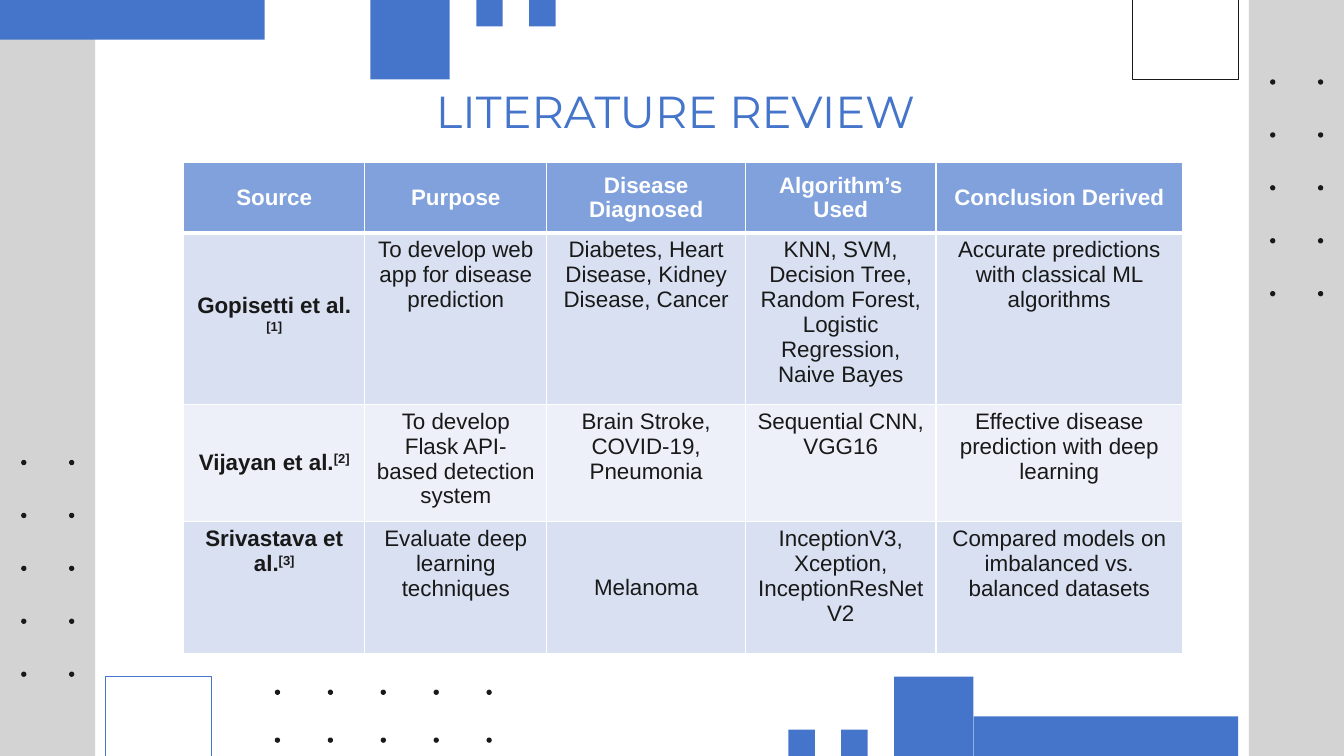
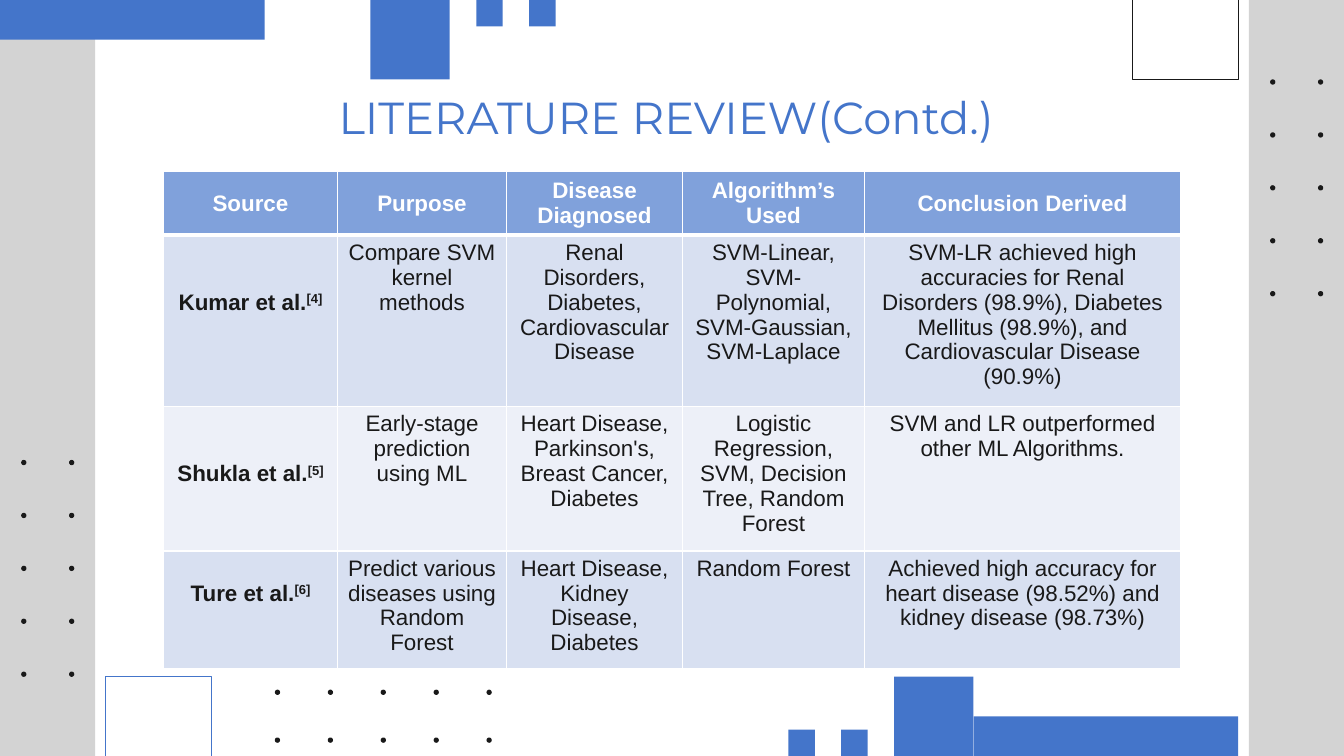
from itertools import product

from lxml.etree import SubElement
from pptx import Presentation
from pptx.dml.color import RGBColor
from pptx.enum.shapes import MSO_SHAPE
from pptx.enum.text import MSO_ANCHOR, PP_ALIGN
from pptx.oxml.ns import qn
from pptx.util import Pt

# Shared look
BLUE, GRAY, INK, WHITE = "4475CA", "D3D3D3", "191919", "FFFFFF"
HEADER_FILL, BAND_FILLS = "80A1DB", ("D8E0F1", "EDF0F8")
TITLE_FONT, TABLE_FONT = "Montserrat", "Arial"
TITLE_SIZE, TABLE_SIZE, LINE_HEIGHT = 32, 16, 17.9
WIDTH, HEIGHT = 960, 540
UNIT = 18.9  # module of the decoration grid
SIDE_BAND = 68
DOT, DOT_GAP, DOT_NARROW_GAP = 3.78, 2 * UNIT, 34.2

# Content: author, reference, purpose, diseases, algorithms, conclusion
HEADERS = ["Source", "Purpose", "Disease Diagnosed", "Algorithm’s Used", "Conclusion Derived"]
SLIDES = [
    {
        "title": "LITERATURE REVIEW",
        "title_box": (177, 34, 611, 90),
        "table_at": (131.2, 116.2),
        "columns": [129.4, 130, 142, 136, 176.2],
        "rows": [50.1, 117.4, 80.6, 94],
        "middle_cells": {(1, 0), (2, 0), (3, 2)},
        "lines_above_source": (0, 0, 0),
        "studies": [
            ("Gopisetti et al.", "[1]", "To develop web app for disease prediction",
             "Diabetes, Heart Disease, Kidney Disease, Cancer",
             "KNN, SVM, Decision Tree, Random Forest, Logistic Regression, Naive Bayes",
             "Accurate predictions with classical ML algorithms"),
            ("Vijayan et al.", "[2]", "To develop Flask API-based detection system",
             "Brain Stroke, COVID-19, Pneumonia", "Sequential CNN, VGG16",
             "Effective disease prediction with deep learning"),
            ("Srivastava et al.", "[3]", "Evaluate deep learning techniques",
             "Melanoma", "InceptionV3, Xception, InceptionResNetV2",
             "Compared models on imbalanced vs. balanced datasets"),
        ],
    },
    {
        "title": "LITERATURE REVIEW(Contd.)",
        "title_box": (126, 44, 700, 78.5),
        "table_at": (116.8, 122.4),
        "columns": [124.3, 120.7, 125.8, 129.9, 225.9],
        "rows": [44.6, 119.6, 102.2, 81.8],
        "middle_cells": set(),
        "lines_above_source": (2, 2, 1),
        "studies": [
            ("Kumar et al.", "[4]", "Compare SVM kernel methods",
             "Renal Disorders, Diabetes, Cardiovascular Disease",
             "SVM-Linear, SVM-Polynomial, SVM-Gaussian, SVM-Laplace",
             "SVM-LR achieved high accuracies for Renal Disorders (98.9%), "
             "Diabetes Mellitus (98.9%), and Cardiovascular Disease (90.9%)"),
            ("Shukla et al.", "[5]", "Early-stage prediction using ML",
             "Heart Disease, Parkinson's, Breast Cancer, Diabetes",
             "Logistic Regression, SVM, Decision Tree, Random Forest",
             "SVM and LR outperformed other ML Algorithms."),
            ("Ture et al.", "[6]", "Predict various diseases using Random Forest",
             "Heart Disease, Kidney Disease, Diabetes", "Random Forest",
             "Achieved high accuracy for heart disease (98.52%) and kidney disease (98.73%)"),
        ],
    },
]

# Decoration in grid units: left, top, width, height
BLUE_BLOCKS = [(14, 0, 3, 3), (18, 0, 1, 1), (20, 0, 1, 1)]
# The bottom repeats the top blocks, mirrored; the long bars differ in offset
TOP_BAR, BOTTOM_BAR = (0, 0, 10, 1.5), (4, 0, 10, 1.5)
FRAME = 4
# Dot fields: left, top, columns, rows, column gap, row gap
DOT_FIELDS = [
    (907.2, 56.7, 2, 5, DOT_NARROW_GAP, DOT_GAP),
    (15.1, 328.5, 2, 5, DOT_NARROW_GAP, DOT_GAP),
    (196.3, 492.6, 5, 2, DOT_GAP, DOT_NARROW_GAP),
]


def color(value):
    return RGBColor.from_string(value)


def add_shape(slide, box, fill=None, line=None, kind=MSO_SHAPE.RECTANGLE):
    shape = slide.shapes.add_shape(kind, *[Pt(length) for length in box])
    shape.shadow.inherit = False
    if fill:
        shape.fill.solid()
        shape.fill.fore_color.rgb = color(fill)
    else:
        shape.fill.background()
    if line:
        shape.line.color.rgb = color(line)
        shape.line.width = Pt(0.75)
    else:
        shape.line.fill.background()


def add_run(paragraph, text, font, size, text_color, bold=False):
    run = paragraph.add_run()
    run.text = text
    run.font.name = font
    run.font.size = Pt(size)
    run.font.bold = bold
    run.font.color.rgb = color(text_color)
    return run


def add_decoration(slide):
    # Side bands
    for left in (0, WIDTH - SIDE_BAND):
        add_shape(slide, (left, 0, SIDE_BAND, HEIGHT), GRAY)
    # Blue blocks along the top, and turned half round along the bottom
    for block in [*BLUE_BLOCKS, TOP_BAR]:
        add_shape(slide, [UNIT * length for length in block], BLUE)
    for block in [*BLUE_BLOCKS, BOTTOM_BAR]:
        left, top, width, height = [UNIT * length for length in block]
        add_shape(slide, (WIDTH - left - width, HEIGHT - top - height, width, height), BLUE)
    # Open frames running over the edges
    side = FRAME * UNIT
    add_shape(slide, (side, HEIGHT - 3 * UNIT, side, side), line=BLUE)
    add_shape(slide, (WIDTH - 2 * side, -UNIT, side, side), line=INK)
    # Dot fields
    for left, top, columns, rows, column_gap, row_gap in DOT_FIELDS:
        for column, row in product(range(columns), range(rows)):
            box = (left + column * column_gap, top + row * row_gap, DOT, DOT)
            add_shape(slide, box, INK, kind=MSO_SHAPE.OVAL)


def add_title(slide, text, box):
    frame = slide.shapes.add_textbox(*[Pt(length) for length in box]).text_frame
    frame.word_wrap = True
    frame.vertical_anchor = MSO_ANCHOR.MIDDLE
    paragraph = frame.paragraphs[0]
    paragraph.alignment = PP_ALIGN.CENTER
    add_run(paragraph, text, TITLE_FONT, TITLE_SIZE, BLUE)


def style_cell(cell, fill, top_width, bottom_width):
    # Borders come before the fill in the cell properties
    properties = cell._tc.get_or_add_tcPr()
    for edge, width in (("L", 1), ("R", 1), ("T", top_width), ("B", bottom_width)):
        border = SubElement(properties, qn(f"a:ln{edge}"), w=str(Pt(width)))
        solid = SubElement(border, qn("a:solidFill"))
        SubElement(solid, qn("a:srgbClr"), val=WHITE)
    cell.fill.solid()
    cell.fill.fore_color.rgb = color(fill)


def add_review_table(slide, content):
    columns, rows = content["columns"], content["rows"]
    box = (*content["table_at"], sum(columns), sum(rows))
    table = slide.shapes.add_table(
        len(rows), len(columns), *[Pt(length) for length in box]).table
    table.first_row = table.horz_banding = False
    for column, width in zip(table.columns, columns):
        column.width = Pt(width)
    for row, height in zip(table.rows, rows):
        row.height = Pt(height)

    texts = [HEADERS] + [[study[0], *study[2:]] for study in content["studies"]]
    for row, column in product(range(len(rows)), range(len(columns))):
        cell = table.cell(row, column)
        header = row == 0
        fill = HEADER_FILL if header else BAND_FILLS[(row - 1) % 2]
        style_cell(cell, fill, 3 if row == 1 else 1, 3 if header else 1)
        middle = header or (row, column) in content["middle_cells"]
        cell.vertical_anchor = MSO_ANCHOR.MIDDLE if middle else MSO_ANCHOR.TOP
        paragraph = cell.text_frame.paragraphs[0]
        paragraph.alignment = PP_ALIGN.CENTER
        add_run(paragraph, texts[row][column], TABLE_FONT, TABLE_SIZE,
                WHITE if header else INK, bold=header or column == 0)
        # Source cells carry a raised reference number
        if column == 0 and not header:
            lines = content["lines_above_source"][row - 1]
            cell.margin_top = Pt(3.6 + lines * LINE_HEIGHT)
            reference = add_run(paragraph, content["studies"][row - 1][1],
                                TABLE_FONT, TABLE_SIZE, INK, bold=True)
            reference.font._element.set("baseline", "30000")


def main():
    presentation = Presentation()
    presentation.slide_width, presentation.slide_height = Pt(WIDTH), Pt(HEIGHT)
    for content in SLIDES:
        slide = presentation.slides.add_slide(presentation.slide_layouts[6])
        add_decoration(slide)
        add_title(slide, content["title"], content["title_box"])
        add_review_table(slide, content)
    presentation.save("out.pptx")


if __name__ == "__main__":
    main()
